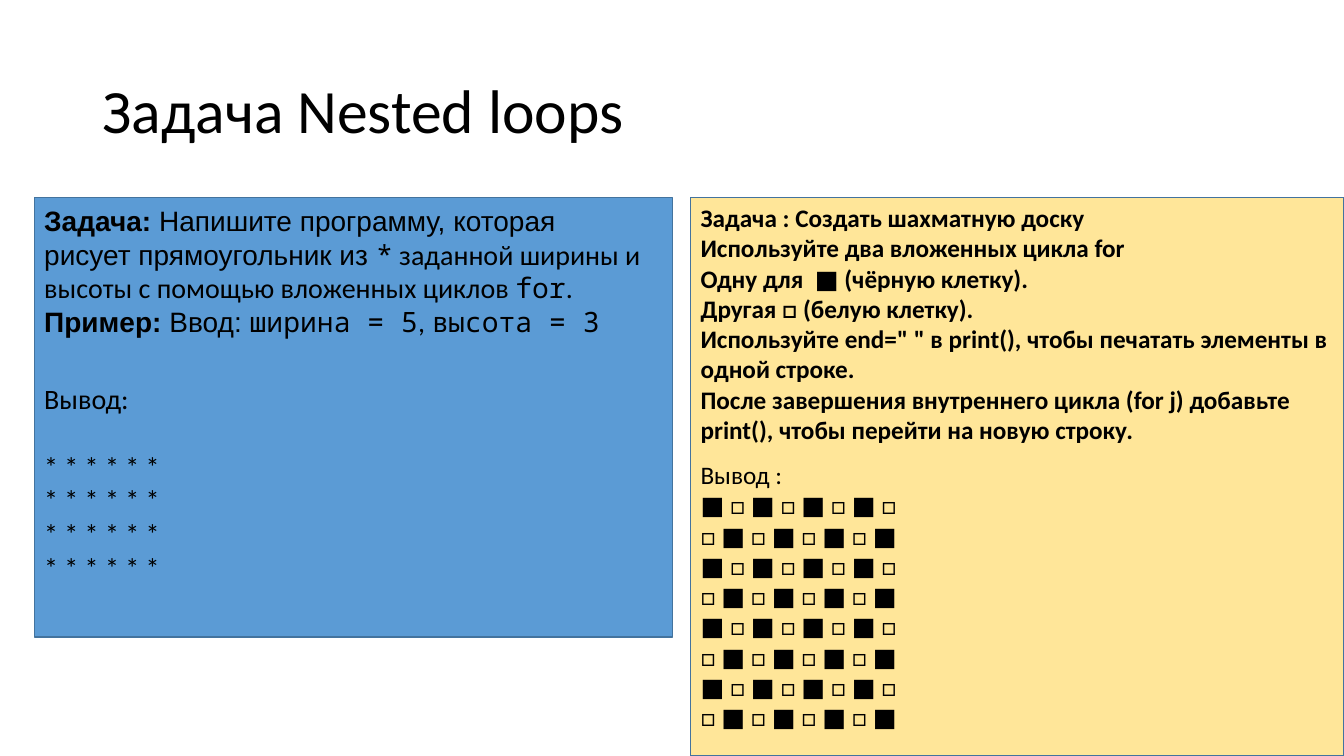
from dataclasses import dataclass

from pptx import Presentation
from pptx import util as u
from pptx.dml.color import RGBColor
from pptx.enum import shapes, text

COLORS = {
    "ink": "000000",
    "blue": "5B9BD5",
    "yellow": "FFE699",
    "outline": "43739E",
}
SANS, BODY, MONO = "Arial", "Calibri", "Noto Sans Mono"
BOARD_SIZE = 8
STAR_ROWS, STAR_COLUMNS = 4, 6


@dataclass(frozen=True)
class Panel:
    left: float
    top: float
    width: float
    height: float
    fill: str


@dataclass(frozen=True)
class Span:
    words: str
    font: str = BODY
    bold: bool = False


@dataclass(frozen=True)
class TextBlock:
    left: float
    top: float
    width: float
    height: float
    size: float
    lines: list[list[Span]]
    middle: bool = False
    wrap: bool = True
    line_spacing: float = 1.0
    gap_after_first: float = 0


def plain(*lines: str, bold: bool = False) -> list[list[Span]]:
    return [[Span(line, bold=bold)] for line in lines]


def color(name: str) -> RGBColor:
    return RGBColor.from_string(COLORS[name])


def draw_panel(page, panel: Panel) -> None:
    box = page.shapes.add_shape(
        shapes.MSO_SHAPE.RECTANGLE,
        u.Inches(panel.left), u.Inches(panel.top),
        u.Inches(panel.width), u.Inches(panel.height),
    )
    box.shadow.inherit = False
    box.fill.solid()
    box.fill.fore_color.rgb = color(panel.fill)
    box.line.color.rgb = color("outline")
    box.line.width = u.Pt(1)


def draw_text(page, block: TextBlock) -> None:
    box = page.shapes.add_textbox(
        u.Inches(block.left), u.Inches(block.top),
        u.Inches(block.width), u.Inches(block.height),
    )
    frame = box.text_frame
    frame.word_wrap = block.wrap
    anchors = text.MSO_ANCHOR
    frame.vertical_anchor = anchors.MIDDLE if block.middle else anchors.TOP
    for index, line in enumerate(block.lines):
        para = frame.add_paragraph() if index else frame.paragraphs[0]
        para.line_spacing = block.line_spacing
        if index == 0:
            para.space_after = u.Pt(block.gap_after_first)
        for span in line:
            run = para.add_run()
            run.text = span.words
            run.font.name = span.font
            run.font.size = u.Pt(block.size)
            run.font.bold = span.bold
            run.font.color.rgb = color("ink")


star_rows = [" ".join("*" * STAR_COLUMNS)] * STAR_ROWS
board_rows = [
    " ".join("■□"[(row + column) % 2] for column in range(BOARD_SIZE))
    for row in range(BOARD_SIZE)
]

PANELS = [
    Panel(6.85, 1.96, 6.48, 5.54, "yellow"),
    Panel(0.34, 1.96, 6.33, 4.36, "blue"),
]

TITLE = TextBlock(0.92, 0.4, 11.5, 1.45, 44, plain("Задача Nested loops"),
                  middle=True, line_spacing=0.9)

RECTANGLE_TASK = TextBlock(0.34, 1.96, 6.17, 1.45, 20, [
    [
        Span("Задача:", SANS, bold=True),
        Span(" Напишите программу, которая рисует прямоугольник из ", SANS),
        Span("*", MONO),
        Span(" заданной ширины и высоты с помощью вложенных циклов "),
        Span("for", MONO),
        Span("."),
    ],
    [
        Span("Пример:", SANS, bold=True),
        Span(" Ввод: ", SANS),
        Span("ширина = 5", MONO),
        Span(", "),
        Span("высота = 3", MONO),
    ],
], middle=True)

RECTANGLE_OUTPUT = TextBlock(0.34, 3.74, 1.36, 2.12, 20,
                             plain("Вывод:", *star_rows),
                             wrap=False, gap_after_first=24)

BOARD_TASK = TextBlock(6.85, 1.96, 6.48, 2.52, 18, plain(
    "Задача : Создать шахматную доску",
    "Используйте два вложенных цикла for",
    "Одну для  ■ (чёрную клетку).",
    "Другая □ (белую клетку).",
    'Используйте end=" " в print(), чтобы печатать элементы в одной строке.',
    "После завершения внутреннего цикла (for j) добавьте print(), "
    "чтобы перейти на новую строку.",
    bold=True,
))

BOARD_OUTPUT = TextBlock(6.85, 4.51, 6.67, 2.83, 18,
                         plain("Вывод :", *board_rows))


def main() -> None:
    deck = Presentation()
    deck.slide_width = u.Inches(13.33)
    deck.slide_height = u.Inches(7.5)
    page = deck.slides.add_slide(deck.slide_layouts[6])
    for panel in PANELS:
        draw_panel(page, panel)
    for block in (TITLE, RECTANGLE_TASK, RECTANGLE_OUTPUT,
                  BOARD_TASK, BOARD_OUTPUT):
        draw_text(page, block)
    deck.save("out.pptx")


if __name__ == "__main__":
    main()
